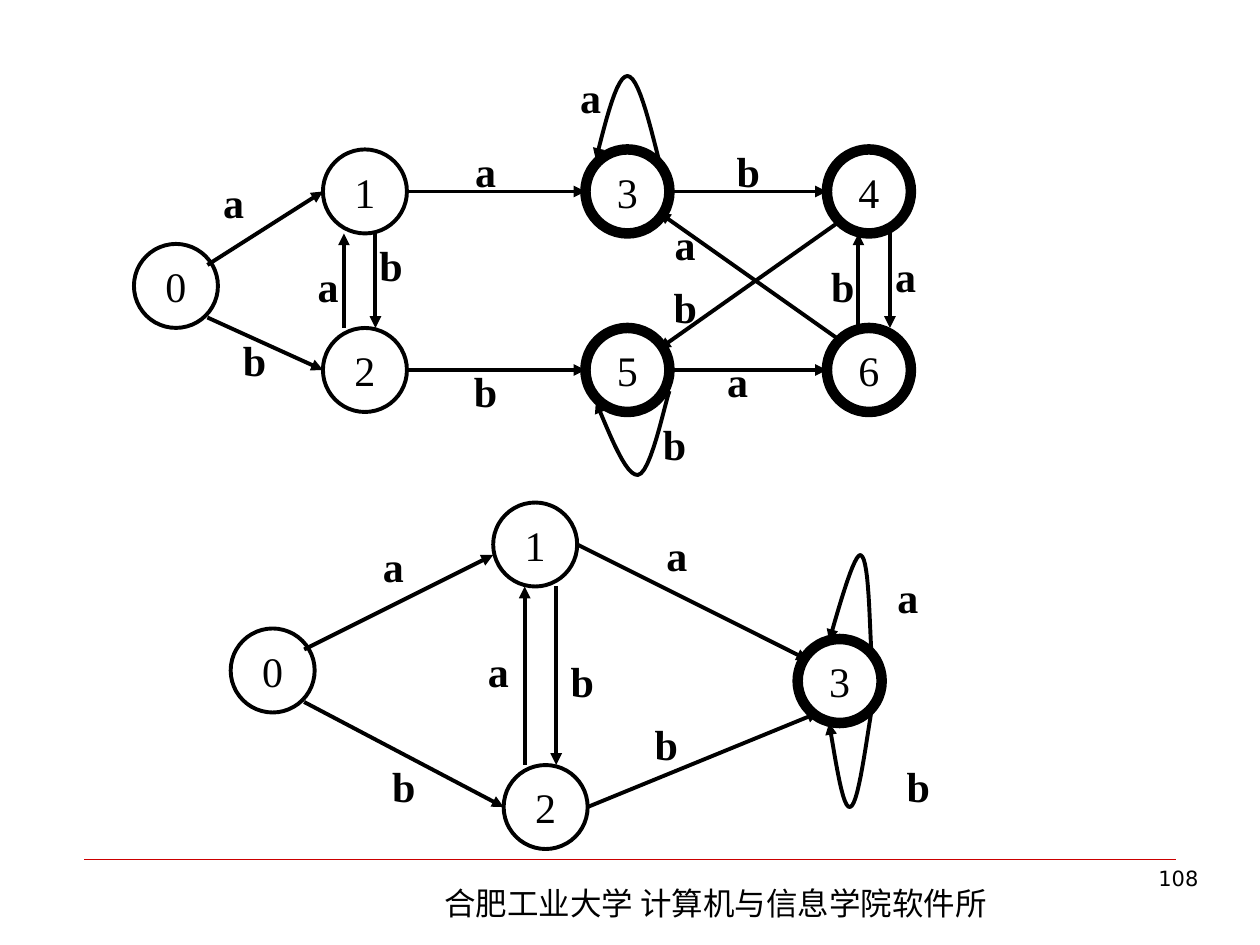
from lxml.etree import SubElement
from pptx import Presentation
from pptx.dml.color import RGBColor
from pptx.enum.shapes import MSO_CONNECTOR, MSO_SHAPE
from pptx.enum.text import MSO_ANCHOR, PP_ALIGN
from pptx.oxml.ns import qn
from pptx.util import Cm, Pt

COLORS = {"ink": "000000", "rule": "CC0000"}
UNIT = Cm(2.54) / 12  # grid step of both automata
STATE_SIZE = 8
LABEL_SIZE = (7, 6)
CURVE_STEPS = 12

# States: name, column, row, accepting. Edges: start, end.
# Loops: start followed by two cubic curves. Labels: symbol, column, row.
FULL_DFA = {
    "states": [("0", 0, 17, False), ("1", 18, 8, False), ("2", 18, 25, False),
               ("3", 43, 8, True), ("5", 43, 25, True),
               ("4", 66, 8, True), ("6", 66, 25, True)],
    "edges": [((7, 19), (18, 12)), ((26, 12), (43, 12)), ((51, 12), (66, 12)),
              ((7, 24), (18, 29)), ((26, 29), (43, 29)), ((51, 29), (66, 29)),
              ((23, 16), (23, 25)), ((20, 25), (20, 16)),
              ((69, 25), (69, 16)), ((72, 16), (72, 25)),
              ((67, 15), (50, 27)), ((67, 26), (50, 14))],
    "loops": [[(50, 9), (49, 5), (48, 1), (47, 1), (46, 1), (45, 5), (44, 9)],
              [(51, 31), (50.5, 32.5), (49.2, 38.9), (48, 39),
               (46.9, 39.1), (45.5, 35.6), (44, 32)]],
    "labels": [("a", 6, 10), ("a", 30, 7), ("b", 55, 7), ("b", 8, 25),
               ("b", 30, 28), ("a", 54, 27), ("b", 21, 16), ("a", 15, 18),
               ("a", 70, 17), ("b", 64, 18), ("a", 49, 14), ("b", 49, 20),
               ("a", 40, 0), ("b", 48, 33)],
}
MINIMAL_DFA = {
    "states": [("0", 0, 12, False), ("1", 25, 0, False),
               ("2", 26, 25, False), ("3", 54, 13, True)],
    "edges": [((7, 14), (25, 5)), ((33, 4), (55, 15)), ((7, 19), (26, 29)),
              ((31, 8), (31, 25)), ((28, 25), (28, 8)), ((34, 29), (56, 20))],
    "loops": [[(61, 14), (60.8, 9.6), (60.7, 5.3), (60, 5),
               (59.4, 4.9), (58.2, 9), (57, 13.2)],
              [(61, 20), (60.3, 24.4), (59.7, 28.8), (59, 29),
               (58.3, 29.2), (57.7, 25.1), (57, 21)]],
    "labels": [("a", 12, 3), ("a", 61, 6), ("b", 13, 24), ("b", 62, 24),
               ("b", 30, 14), ("a", 22, 13), ("a", 39, 2), ("b", 38, 20)],
}


def write(shape, text, size=24, font="Times New Roman", bold=False,
          align=PP_ALIGN.CENTER, anchor=MSO_ANCHOR.MIDDLE, wrap=False):
    frame = shape.text_frame
    frame.word_wrap = wrap
    frame.vertical_anchor = anchor
    paragraph = frame.paragraphs[0]
    paragraph.alignment = align
    run = paragraph.add_run()
    run.text = text
    run.font.size = Pt(size)
    run.font.bold = bold
    run.font.color.rgb = RGBColor.from_string(COLORS["ink"])
    run.font.name = font
    SubElement(run._r.get_or_add_rPr(), qn("a:ea"), typeface=font)


def style_line(shape, width=2.25, color="ink", arrow=False):
    shape.line.color.rgb = RGBColor.from_string(COLORS[color])
    shape.line.width = Pt(width)
    if arrow:
        outline = shape._element.spPr.find(qn("a:ln"))
        SubElement(outline, qn("a:tailEnd"), type="triangle")


def add_line(shapes, start, end, **line_format):
    line = shapes.add_connector(MSO_CONNECTOR.STRAIGHT, *start, *end)
    style_line(line, **line_format)
    SubElement(line._element.spPr, qn("a:effectLst"))


def curve_points(p0, p1, p2, p3):
    """Return points along a cubic curve, leaving out its start."""
    for step in range(1, CURVE_STEPS + 1):
        t = step / CURVE_STEPS
        s = 1 - t
        yield tuple(s**3 * a + 3 * s * s * t * b + 3 * s * t * t * c + t**3 * d
                    for a, b, c, d in zip(p0, p1, p2, p3))


def add_automaton(slide, left, top, automaton):
    shapes = slide.shapes.add_group_shape().shapes

    def place(point):
        column, row = point
        return round(left + column * UNIT), round(top + row * UNIT)

    for name, column, row, accepting in automaton["states"]:
        diameter = round(STATE_SIZE * UNIT)
        state = shapes.add_shape(MSO_SHAPE.OVAL, *place((column, row)),
                                 diameter, diameter)
        state.shadow.inherit = False
        state.fill.background()
        style_line(state, width=6 if accepting else 2.25)
        write(state, name)

    for start, end in automaton["edges"]:
        add_line(shapes, place(start), place(end), arrow=True)

    for loop in automaton["loops"]:
        points = [*curve_points(*loop[:4]), *curve_points(*loop[3:])]
        builder = shapes.build_freeform(*place(loop[0]))
        builder.add_line_segments([place(p) for p in points], close=False)
        arc = builder.convert_to_shape()
        arc.shadow.inherit = False
        arc.fill.background()
        style_line(arc, arrow=True)

    for symbol, column, row in automaton["labels"]:
        label = shapes.add_textbox(*place((column, row)),
                                   *(round(side * UNIT) for side in LABEL_SIZE))
        write(label, symbol, bold=True)


def add_footer(slide, left, top, width):
    add_line(slide.shapes, (left, top), (left + width, top),
             width=0.25, color="rule")
    institute = slide.shapes.add_textbox(left + Cm(7.01), top + Cm(0.38),
                                         Cm(11.99), Cm(1.02))
    write(institute, "合肥工业大学 计算机与信息学院软件所", size=18,
          font="Noto Sans CJK SC", align=PP_ALIGN.LEFT,
          anchor=MSO_ANCHOR.TOP, wrap=True)
    page_number = slide.shapes.add_textbox(left + Cm(17.2), top,
                                           Cm(5.51), Cm(1.32))
    write(page_number, "108", size=12, font="DejaVu Sans",
          align=PP_ALIGN.RIGHT, anchor=MSO_ANCHOR.TOP, wrap=True)


def main():
    presentation = Presentation()
    presentation.slide_width = Cm(25.4)
    presentation.slide_height = Cm(19.05)
    slide = presentation.slides.add_slide(presentation.slide_layouts[6])
    add_footer(slide, Cm(1.7), Cm(17.32), Cm(22))
    add_automaton(slide, Cm(2.7), Cm(1.32), FULL_DFA)
    add_automaton(slide, Cm(4.65), Cm(10.13), MINIMAL_DFA)
    presentation.save("out.pptx")


if __name__ == "__main__":
    main()
